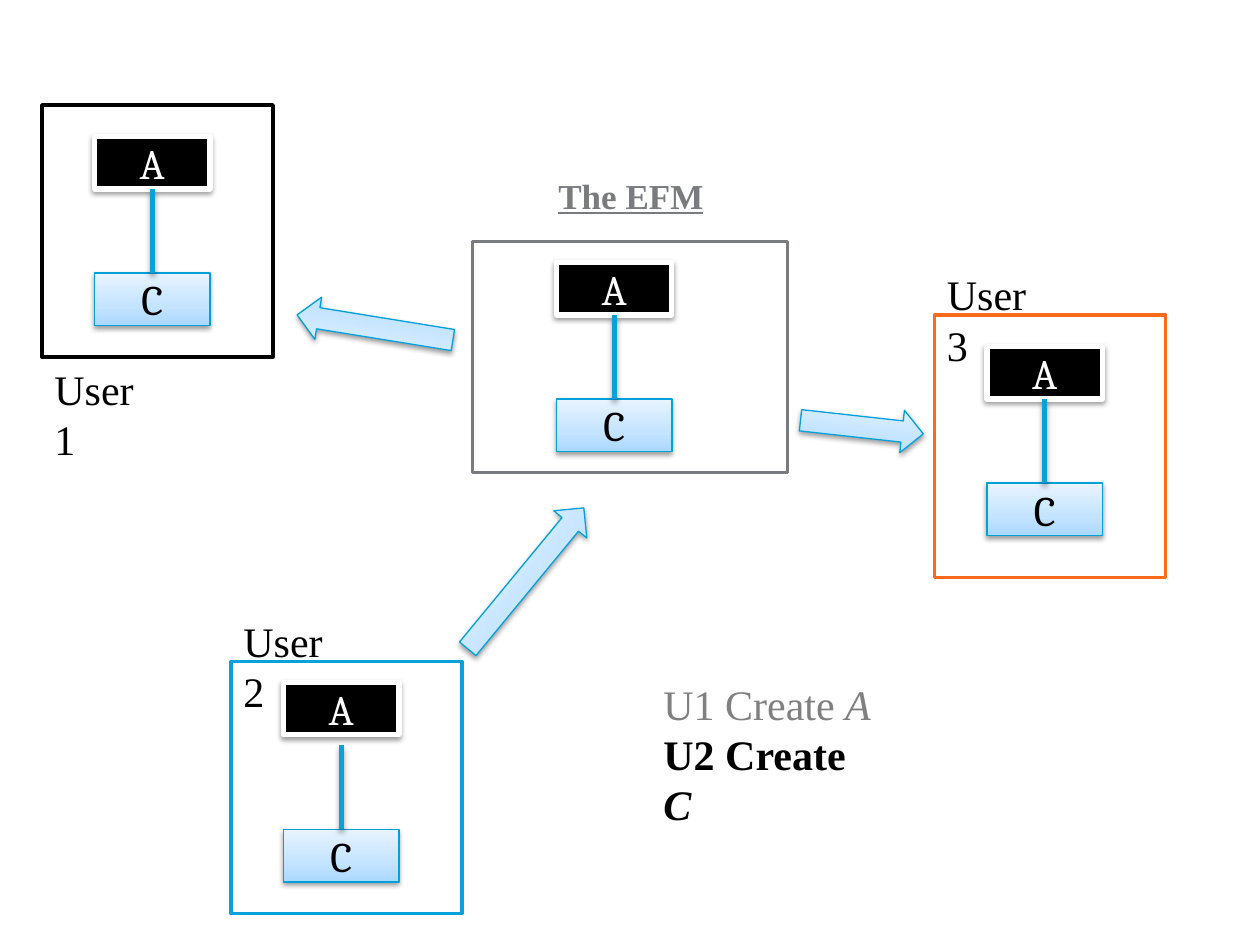
from dataclasses import dataclass

import pptx
import pptx.dml.color
import pptx.enum.shapes
import pptx.enum.text
import pptx.oxml.ns
import pptx.util
from lxml import etree
from pptx.util import Cm, Pt

COLORS = {
    "black": "000000", "white": "FFFFFF", "gray": "797B7E", "faded": "808080",
    "orange": "F96A1B", "blue": "08A1D9", "edge": "03A0D9",
}
GRADIENT = {0: "ABD8FF", 35: "C3E3FF", 100: "E8F4FF"}
SERIF, NODE_FONT = "Times New Roman", "Cambria"
GRID = 2.54 / 12  # the layout sits on a grid of twelfths of an inch
NODE_W, NODE_H, LINK_H = 11, 5, 8
SHAPE = pptx.enum.shapes.MSO_SHAPE


@dataclass
class Run:
    text: str
    size: int = 24
    color: str = "black"
    font: str = SERIF
    bold: bool = False
    italic: bool = False
    underline: bool = False


@dataclass
class Site:
    """A workspace; frame, label and node positions in grid units."""
    frame: tuple[int, int, int, int]
    color: str
    label: Run
    label_at: tuple[int, int]
    label_size: tuple[float, float]  # cm
    node_left: int
    a_top: int
    c_top: int


@dataclass
class Arrow:
    """A block arrow; lengths in cm, rotation in degrees."""
    left: float
    top: float
    width: float
    rotation: float


USER_LABEL = (2.18, 1.02)
SITES = [
    Site((45, 23, 30, 22), "gray",
         Run("The EFM", 20, "gray", bold=True, underline=True),
         (52, 16), (3.45, 1.12), 53, 25, 38),
    Site((4, 10, 22, 24), "black", Run("User 1"), (4, 34), USER_LABEL, 9, 13, 26),
    Site((22, 63, 22, 24), "blue", Run("User 2"), (22, 58), USER_LABEL, 27, 65, 79),
    Site((89, 30, 22, 25), "orange", Run("User 3"), (89, 25), USER_LABEL, 94, 33, 46),
]
ARROWS = [
    Arrow(8.76, 11.23, 3.68, 309.5),
    Arrow(5.97, 6.17, 3.18, 189.2),
    Arrow(16.13, 8.18, 2.49, 6.3),
]
ARROW_H = 0.86
STEPS = [
    [Run("U1 Create ", color="faded"), Run("A", color="faded", italic=True)],
    [Run("U2 Create ", bold=True), Run("C", bold=True, italic=True)],
]


def grid(n: float) -> pptx.util.Length:
    return Cm(n * GRID)


def rgb(name: str) -> pptx.dml.color.RGBColor:
    return pptx.dml.color.RGBColor.from_string(COLORS[name])


def child(parent, tag: str, **attrs):
    return etree.SubElement(parent, pptx.oxml.ns.qn(tag), attrs)


def add_shadow(sp, alpha: int = 38, distance: float = 1.6) -> None:
    effects = child(sp._element.spPr, "a:effectLst")
    shadow = child(effects, "a:outerShdw", blurRad=str(Pt(3.1)),
                   dist=str(Pt(distance)), dir="5400000", rotWithShape="0")
    color = child(shadow, "a:srgbClr", val=COLORS["black"])
    child(color, "a:alpha", val=str(alpha * 1000))


def fill_gradient(sp) -> None:
    sp.fill.gradient()
    sp.fill.gradient_angle = 90
    stops = sp._element.spPr.find(".//" + pptx.oxml.ns.qn("a:gsLst"))
    for stop in list(stops):
        stops.remove(stop)
    for position, color in GRADIENT.items():
        stop = child(stops, "a:gs", pos=str(position * 1000))
        child(stop, "a:srgbClr", val=color)


def add_run(p, run: Run) -> None:
    r = p.add_run()
    r.text = run.text
    r.font.name, r.font.size = run.font, Pt(run.size)
    r.font.bold, r.font.italic = run.bold, run.italic
    r.font.underline = run.underline
    r.font.color.rgb = rgb(run.color)


def add_text(s, box: tuple, paragraphs: list[list[Run]]) -> None:
    tf = s.shapes.add_textbox(*box).text_frame
    tf.word_wrap = True
    for i, runs in enumerate(paragraphs):
        p = tf.add_paragraph() if i else tf.paragraphs[0]
        for run in runs:
            add_run(p, run)


def add_box(s, kind, box: tuple, fill: str | None, line: str, width: float):
    """Add a shape; without a fill colour it gets the blue gradient."""
    sp = s.shapes.add_shape(kind, *box)
    if fill:
        sp.fill.solid()
        sp.fill.fore_color.rgb = rgb(fill)
    else:
        fill_gradient(sp)
    sp.line.color.rgb = rgb(line)
    sp.line.width = Pt(width)
    return sp


def add_node(s, left: int, top: int, run: Run, fill: str | None,
             line: str, width: float) -> None:
    box = tuple(map(grid, (left, top, NODE_W, NODE_H)))
    sp = add_box(s, SHAPE.RECTANGLE, box, fill, line, width)
    add_shadow(sp)
    tf = sp.text_frame
    tf.vertical_anchor = pptx.enum.text.MSO_ANCHOR.MIDDLE
    p = tf.paragraphs[0]
    p.alignment = pptx.enum.text.PP_ALIGN.CENTER
    add_run(p, run)


def add_link(s, x: float, bottom: int) -> None:
    link = s.shapes.add_connector(
        pptx.enum.shapes.MSO_CONNECTOR.STRAIGHT,
        grid(x), grid(bottom - LINK_H), grid(x), grid(bottom))
    link.line.color.rgb = rgb("blue")
    link.line.width = Pt(3)
    add_shadow(link, alpha=35, distance=1.8)


def add_site(s, site: Site) -> None:
    frame = add_box(s, SHAPE.RECTANGLE, tuple(map(grid, site.frame)),
                    "white", site.color, 2)
    frame.shadow.inherit = False
    box = (*map(grid, site.label_at), *map(Cm, site.label_size))
    add_text(s, box, [[site.label]])
    add_node(s, site.node_left, site.a_top,
             Run("A", color="white", font=NODE_FONT), "black", "white", 3)
    add_node(s, site.node_left, site.c_top,
             Run("C", font=NODE_FONT), None, "edge", 0.75)
    add_link(s, site.node_left + NODE_W / 2, site.c_top)


def add_arrow(s, arrow: Arrow) -> None:
    box = tuple(map(Cm, (arrow.left, arrow.top, arrow.width, ARROW_H)))
    sp = add_box(s, SHAPE.RIGHT_ARROW, box, None, "edge", 0.75)
    sp.rotation = arrow.rotation
    add_shadow(sp)


def main() -> None:
    prs = pptx.Presentation()
    prs.slide_width, prs.slide_height = Cm(25.4), Cm(19.05)
    s = prs.slides.add_slide(prs.slide_layouts[6])
    for site in SITES:
        add_site(s, site)
    for arrow in ARROWS:
        add_arrow(s, arrow)
    add_text(s, (grid(62), grid(64), Cm(4.8), Cm(2.31)), STEPS)
    prs.save("out.pptx")


if __name__ == "__main__":
    main()
